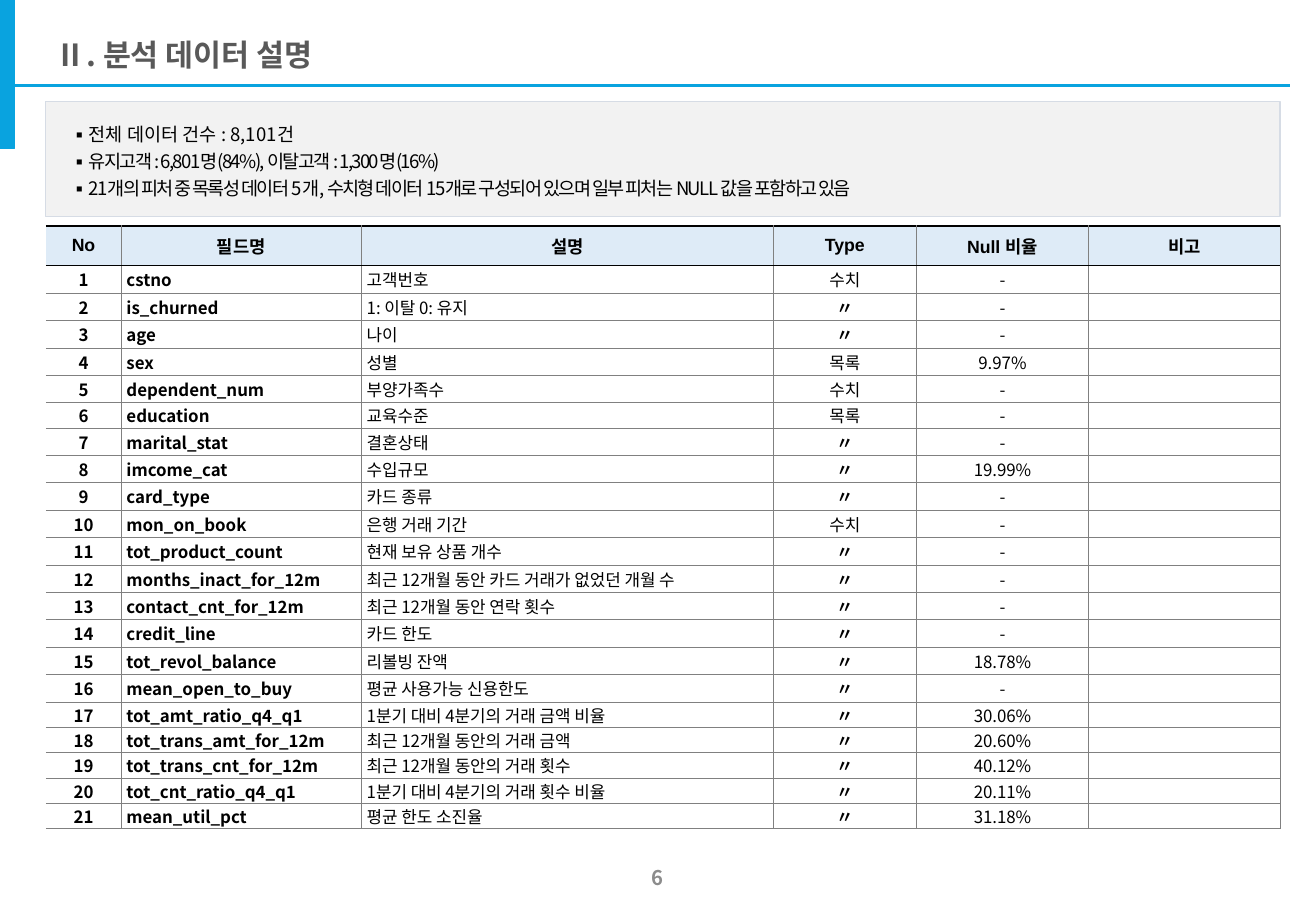
"""Builds the data description slide with its summary box and field table."""
from pptx import Presentation
from pptx.dml.color import RGBColor
from pptx.enum.shapes import MSO_CONNECTOR as CONN, MSO_SHAPE as SHAPE
from pptx.enum.text import MSO_ANCHOR as ANCHOR, PP_ALIGN as ALIGN
from pptx.oxml.ns import qn
from pptx.util import Pt
from lxml.etree import SubElement

SANS = "Noto Sans CJK KR"
BLUE, GRAY, BLACK = "09A3DF", "808080", "000000"
HEADERS = ["No", "필드명", "설명", "Type", "Null 비율", "비고"]
WIDTHS = [44.6, 142.4, 244.1, 84.9, 102, 113.5]
HEADER_H, ROW_H, TIGHT_H = 23.4, 16.25, 15
TIGHT_ROWS = {6, 17, 18, 19, 20, 21}
FIELDS = [
    ("cstno", "고객번호", "수치", "-"),
    ("is_churned", "1: 이탈 0: 유지", "〃", "-"),
    ("age", "나이", "〃", "-"),
    ("sex", "성별", "목록", "9.97%"),
    ("dependent_num", "부양가족수", "수치", "-"),
    ("education", "교육수준", "목록", "-"),
    ("marital_stat", "결혼상태", "〃", "-"),
    ("imcome_cat", "수입규모", "〃", "19.99%"),
    ("card_type", "카드 종류", "〃", "-"),
    ("mon_on_book", "은행 거래 기간", "수치", "-"),
    ("tot_product_count", "현재 보유 상품 개수", "〃", "-"),
    ("months_inact_for_12m", "최근 12개월 동안 카드 거래가 없었던 개월 수", "〃", "-"),
    ("contact_cnt_for_12m", "최근 12개월 동안 연락 횟수", "〃", "-"),
    ("credit_line", "카드 한도", "〃", "-"),
    ("tot_revol_balance", "리볼빙 잔액", "〃", "18.78%"),
    ("mean_open_to_buy", "평균 사용가능 신용한도", "〃", "-"),
    ("tot_amt_ratio_q4_q1", "1분기 대비 4분기의 거래 금액 비율", "〃", "30.06%"),
    ("tot_trans_amt_for_12m", "최근 12개월 동안의 거래 금액", "〃", "20.60%"),
    ("tot_trans_cnt_for_12m", "최근 12개월 동안의 거래 횟수", "〃", "40.12%"),
    ("tot_cnt_ratio_q4_q1", "1분기 대비 4분기의 거래 횟수 비율", "〃", "20.11%"),
    ("mean_util_pct", "평균 한도 소진율", "〃", "31.18%"),
]
SUMMARY = [
    ("전체 데이터 건수 : 8,101건", 0),
    ("유지고객 : 6,801명(84%), 이탈고객 : 1,300명(16%)", -100),
    ("21개의 피처 중 목록성 데이터 5개, 수치형 데이터 15개로 구성되어 있으며 "
     "일부 피처는 NULL 값을 포함하고 있음", -100),
]


def rgb(value):
    return RGBColor.from_string(value)


def write(p, text, size=10, font=SANS, color=BLACK, bold=False, align=ALIGN.LEFT, spacing=0):
    p.alignment = align
    if not text:
        SubElement(p._p, qn("a:endParaRPr"), sz=str(int(size * 100)))
        return
    r = p.add_run()
    r.text = text
    r.font.size, r.font.name, r.font.bold = Pt(size), font, bold
    r.font.color.rgb = rgb(color)
    rPr = r._r.get_or_add_rPr()
    SubElement(rPr, qn("a:ea"), typeface=SANS)
    if spacing:
        rPr.set("spc", str(spacing))


def set_margins(target, left, top, right, bottom):
    target.margin_left, target.margin_top = Pt(left), Pt(top)
    target.margin_right, target.margin_bottom = Pt(right), Pt(bottom)


def set_border(cell, side, color, width):
    ln = SubElement(cell._tc.get_or_add_tcPr(), qn(f"a:ln{side}"), w=str(Pt(width)))
    if color:
        fill = SubElement(ln, qn("a:solidFill"))
        SubElement(fill, qn("a:srgbClr"), val=color)
    else:
        SubElement(ln, qn("a:noFill"))


class Page:
    def __init__(self, prs):
        self.s = prs.slides.add_slide(prs.slide_layouts[6])

    def line(self, x1, y1, x2, y2, color, width):
        c = self.s.shapes.add_connector(CONN.STRAIGHT, Pt(x1), Pt(y1), Pt(x2), Pt(y2))
        c.line.color.rgb, c.line.width = rgb(color), Pt(width)
        SubElement(c._element.spPr, qn("a:effectLst"))

    def rect(self, x, y, w, h, fill, line):
        sp = self.s.shapes.add_shape(SHAPE.RECTANGLE, Pt(x), Pt(y), Pt(w), Pt(h))
        sp.shadow.inherit = False
        sp.fill.solid()
        sp.fill.fore_color.rgb = rgb(fill)
        sp.line.color.rgb, sp.line.width = rgb(line), Pt(0.75)
        return sp

    def text(self, x, y, w, h, text, left=7.2, wrap=True, **style):
        tf = self.s.shapes.add_textbox(Pt(x), Pt(y), Pt(w), Pt(h)).text_frame
        tf.word_wrap, tf.vertical_anchor = wrap, ANCHOR.MIDDLE
        set_margins(tf, left, 3.6, 7.2, 3.6)
        write(tf.paragraphs[0], text, **style)

    def bullets(self, x, y, w, h, items):
        tf = self.rect(x, y, w, h, "F2F2F2", "D6DCE5").text_frame
        tf.word_wrap, tf.vertical_anchor = True, ANCHOR.MIDDLE
        set_margins(tf, 14.4, 0, 0, 0)
        for i, (text, spacing) in enumerate(items):
            p = tf.add_paragraph() if i else tf.paragraphs[0]
            p.line_spacing = 1.2
            write(p, text, size=11, spacing=spacing)
            pPr = p._p.get_or_add_pPr()
            pPr.set("marL", str(Pt(9.4)))
            pPr.set("indent", str(Pt(-9.4)))
            SubElement(pPr, qn("a:buFont"), typeface=SANS)
            SubElement(pPr, qn("a:buChar"), char="▪")

    def cell(self, cell, row, col, text):
        header = row == 0
        cell.vertical_anchor = ANCHOR.MIDDLE
        top = (BLACK, 1) if row < 2 else (GRAY, 0.25)
        bottom = (BLACK, 1) if header else (GRAY, 0.25)
        left = (GRAY, 0.25) if col else (None, 0)
        for side, border in zip("LRTB", (left, (GRAY, 0.25), top, bottom)):
            set_border(cell, side, *border)
        p = cell.text_frame.paragraphs[0]
        if header:
            cell.fill.solid()
            cell.fill.fore_color.rgb = rgb("DEEBF7")
            set_margins(cell, 7.2, 3.6, 7.2, 3.6)
            write(p, text, size=10.5, font="Arial", bold=True, align=ALIGN.CENTER)
        else:
            cell.fill.background()
            is_left = col in (1, 2)
            set_margins(cell, 3.2 if is_left else 0.7, 0.5, 0.7, 0)
            write(p, text, bold=col < 2 or text == "〃",
                  align=ALIGN.LEFT if is_left else ALIGN.CENTER)

    def table(self, x, y, widths, heights, rows):
        tbl = self.s.shapes.add_table(len(rows), len(widths), Pt(x), Pt(y),
                                      Pt(sum(widths)), Pt(sum(heights))).table
        tbl.first_row = tbl.horz_banding = False
        for column, width in zip(tbl.columns, widths):
            column.width = Pt(width)
        for i, (height, values) in enumerate(zip(heights, rows)):
            tbl.rows[i].height = Pt(height)
            for j, value in enumerate(values):
                self.cell(tbl.cell(i, j), i, j, value)


def main():
    prs = Presentation()
    prs.slide_width, prs.slide_height = Pt(780), Pt(540)
    page = Page(prs)
    page.line(2, 50.6, 764.5, 50.6, BLUE, 1.5)
    page.rect(0, 0, 8.6, 88, BLUE, BLUE)
    page.text(33.1, 18, 408, 28, "Ⅱ. 분석 데이터 설명", left=0, wrap=False,
              size=18, color="595959", bold=True)
    rows = [HEADERS] + [(str(n), *field, "") for n, field in enumerate(FIELDS, 1)]
    heights = [HEADER_H] + [TIGHT_H if n in TIGHT_ROWS else ROW_H
                            for n in range(1, len(rows))]
    page.table(27.2, 134, WIDTHS, heights, rows)
    page.text(372, 506, 36, 28.8, "6", size=12, color="8C8C8C", bold=True,
              align=ALIGN.CENTER)
    page.bullets(27.2, 60.3, 731.5, 68, SUMMARY)
    prs.save("out.pptx")


if __name__ == "__main__":
    main()
